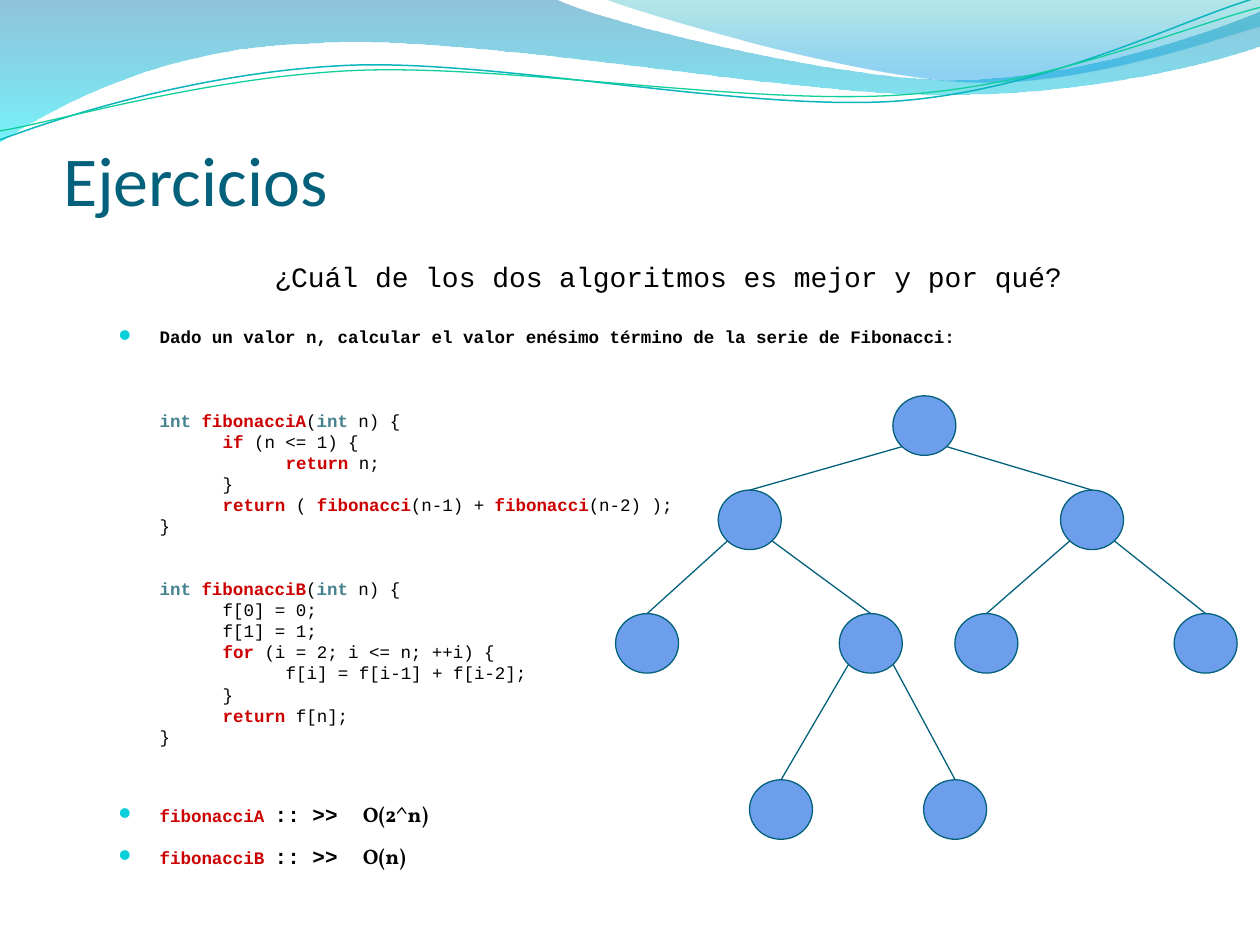
from math import sqrt
from lxml import etree
from pptx import Presentation
from pptx.dml.color import RGBColor
from pptx.enum.shapes import MSO_CONNECTOR as CONN, MSO_SHAPE as SHAPE
from pptx.enum.text import MSO_ANCHOR as ANCHOR, PP_ALIGN as ALIGN
from pptx.oxml import parse_xml
from pptx.oxml.ns import nsdecls, qn
from pptx.util import Cm, Pt

TEAL, RED, BLACK, DARK = "45818E", "CC0000", "000000", "04617B"


def rgb(value):
    return RGBColor.from_string(value)


def add_run(p, text, size=10, font="Courier New", color=BLACK, bold=False):
    r = p.add_run()
    r.text = text
    r.font.size = Pt(size)
    r.font.name = font
    r.font.bold = bold
    r.font.color.rgb = rgb(color)


prs = Presentation()
prs.slide_width, prs.slide_height = Cm(25.4), Cm(19.05)
s = prs.slides.add_slide(prs.slide_layouts[5])

waves = [
    dict(start=(0, 0), grad=[(0, "0079AD", 44), (100, "00E9F7", 54)],
         steps=[(11.18, -0.03),
                (12.09, 0.43, 16.87, 1.6, 19.25, 1.6),
                (21.67, 1.6, 24.33, 0.66, 25.4, 0.23),
                (25.43, 0.91),
                (24.97, 1.12, 22.1, 1.93, 18.95, 1.91),
                (15.8, 1.91, 9.7, 0.71, 6.53, 0.86),
                (3.28, 0.91, 1.17, 2.11, -0.03, 2.87)]),
    dict(start=(12.17, -0.03),
         grad=[(0, "00ABB4", 29), (80, "0099E4", 44), (100, "0099E4", 44)],
         steps=[(12.93, 0.28, 17.32, 1.57, 19.53, 1.65),
                (21.74, 1.75, 24.41, 0.81, 25.4, 0.53),
                (25.4, 0)]),
    dict(start=(-0.05, 2.22), line=("09B6BE", 0.85),
         steps=[(1.19, 1.82, 4.02, 1.04, 7.05, 1.05),
                (10.05, 1.07, 15.02, 2.37, 18.08, 2.29),
                (21.13, 2.2, 23.87, 0.91, 25.41, 0.55)]),
    dict(start=(-0.04, 2.04), line=("10CF9B", 0.75),
         steps=[(1.16, 1.9, 4.18, 1.15, 7.2, 1.16),
                (10.25, 1.18, 15.13, 2.25, 18.18, 2.17),
                (21.21, 2.1, 23.93, 1.06, 25.45, 0.75)]),
]
for wave in waves:
    x, y = wave["start"]
    builder = s.shapes.build_freeform(Cm(x), Cm(y))
    for step in wave["steps"]:
        points = [(Cm(px), Cm(py)) for px, py in zip(step[::2], step[1::2])]
        builder.add_line_segments(points, close=False)
    sp = builder.convert_to_shape()
    sp.shadow.inherit = False
    spPr = sp._element.spPr
    outline = spPr.find(".//" + qn("a:path"))
    segments = iter(outline.findall(qn("a:lnTo")))
    for step in wave["steps"]:
        first = next(segments)
        if len(step) == 6:
            curve = etree.Element(qn("a:cubicBezTo"))
            outline.replace(first, curve)
            for segment in (first, next(segments), next(segments)):
                curve.append(segment[0])
                if segment is not first:
                    outline.remove(segment)
    sp.fill.background()
    if "grad" in wave:
        etree.SubElement(outline, qn("a:close"))
        sp.line.fill.background()
        stops = "".join(
            f'<a:gs pos="{pos * 1000}"><a:srgbClr val="{color}">'
            f'<a:alpha val="{alpha * 1000}"/></a:srgbClr></a:gs>'
            for pos, color, alpha in wave["grad"])
        spPr.replace(spPr.find(qn("a:noFill")), parse_xml(
            f'<a:gradFill {nsdecls("a")} rotWithShape="1"><a:gsLst>{stops}</a:gsLst>'
            '<a:lin ang="5400000" scaled="0"/></a:gradFill>'))
    else:
        color, width = wave["line"]
        sp.rotation = 357.3
        sp.line.color.rgb = rgb(color)
        sp.line.width = Pt(width)

title = s.shapes.title
title.left, title.top, title.width, title.height = Cm(1.27), Cm(1.96), Cm(22.86), Cm(2.49)
tf = title.text_frame
tf.margin_left = tf.margin_right = tf.margin_bottom = 0
tf.margin_top = Cm(0.13)
tf.vertical_anchor = ANCHOR.BOTTOM
p = tf.paragraphs[0]
p.alignment = ALIGN.LEFT
add_run(p, "Ejercicios", size=40, font="Calibri", color=DARK)

bullets = []
tf = s.shapes.add_textbox(Cm(1.7), Cm(16.03), Cm(11.86), Cm(2.49)).text_frame
tf.word_wrap = True
for i, (name, cost) in enumerate([("fibonacciA ", "O(2^n)"), ("fibonacciB ", "O(n)")]):
    p = tf.add_paragraph() if i else tf.paragraphs[0]
    p.space_before = Pt(9.6 * i)
    add_run(p, name, color=RED, bold=True)
    add_run(p, ":: >>  ", size=12, bold=True)
    add_run(p, cost, size=12, font="Vollkorn", bold=True)
    bullets.append(p)

node_w, node_h = 1.27, 1.2
nodes = {
    "root": (18, 7.98),
    "l": (14.48, 9.88), "r": (21.38, 9.88),
    "ll": (12.41, 12.37), "lr": (16.92, 12.37),
    "rl": (19.25, 12.37), "rr": (23.67, 12.37),
    "lrl": (15.11, 15.72), "lrr": (18.62, 15.72),
}
ovals = {}
for name, (x, y) in nodes.items():
    sp = s.shapes.add_shape(SHAPE.OVAL, Cm(x), Cm(y), Cm(node_w), Cm(node_h))
    sp.shadow.inherit = False
    sp.fill.solid()
    sp.fill.fore_color.rgb = rgb("6D9EEB")
    sp.line.color.rgb = rgb(DARK)
    sp.line.width = Pt(0.75)
    ovals[name] = sp

for child in list(nodes)[1:]:
    x, y = nodes[child[:-1] or "root"]
    side = -1 if child.endswith("l") else 1
    start_x = x + node_w / 2 * (1 + side / sqrt(2))
    start_y = y + node_h / 2 * (1 + 1 / sqrt(2))
    edge = s.shapes.add_connector(CONN.STRAIGHT, Cm(start_x), Cm(start_y), 0, 0)
    edge.end_connect(ovals[child], 0)
    edge.line.color.rgb = rgb(DARK)
    edge.line.width = Pt(0.75)
    etree.SubElement(edge._element.spPr, qn("a:effectLst"))

tf = s.shapes.add_textbox(Cm(1.7), Cm(5), Cm(23.55), Cm(10.77)).text_frame
tf.word_wrap = True
p = tf.paragraphs[0]
p.alignment = ALIGN.CENTER
p.line_spacing = 1.15
add_run(p, "¿Cuál de los dos algoritmos es mejor y por qué?", size=16)

p = tf.add_paragraph()
p.space_before = Pt(18)
p.line_spacing = 1.06
add_run(p, "Dado un valor n, calcular el valor enésimo término de la serie de Fibonacci:",
        bold=True)
bullets.append(p)

keywords = dict.fromkeys(["fibonacciA", "fibonacciB", "fibonacci", "if", "for", "return"], RED)
keywords["int"] = TEAL
functions = [
    (36, ["int| |fibonacciA|(|int| n) {",
          "\t|if| (n <= 1) {",
          "\t\t|return| n;",
          "\t}",
          "\t|return| ( |fibonacci|(n-1) + |fibonacci|(n-2) );",
          "}"]),
    (24, ["int| |fibonacciB|(|int| n) {",
          "\tf[0] = 0;",
          "\tf[1] = 1;",
          "\t|for| (i = 2; i <= n; ++i) {",
          "\t\tf[i] = f[i-1] + f[i-2];",
          "\t}",
          "\t|return| f[n];",
          "}"]),
]
for gap, lines in functions:
    p = tf.add_paragraph()
    p.space_before = Pt(gap)
    p.line_spacing = Pt(12.05)
    p._p.get_or_add_pPr().set("marL", str(Cm(1.27)))
    p._p.get_or_add_pPr().set("indent", "0")
    for i, line in enumerate(lines):
        if i:
            p.add_line_break()
        for token in line.split("|"):
            add_run(p, token, color=keywords.get(token, BLACK), bold=token in keywords)

for p in bullets:
    pPr = p._p.get_or_add_pPr()
    pPr.set("marL", str(Cm(1.27)))
    pPr.set("indent", str(Cm(-0.81)))
    color = etree.SubElement(pPr, qn("a:buClr"))
    etree.SubElement(color, qn("a:srgbClr"), val="0BD0D9")
    etree.SubElement(pPr, qn("a:buFont"), typeface="Courier New")
    etree.SubElement(pPr, qn("a:buChar"), char="⚫")

prs.save("out.pptx")
